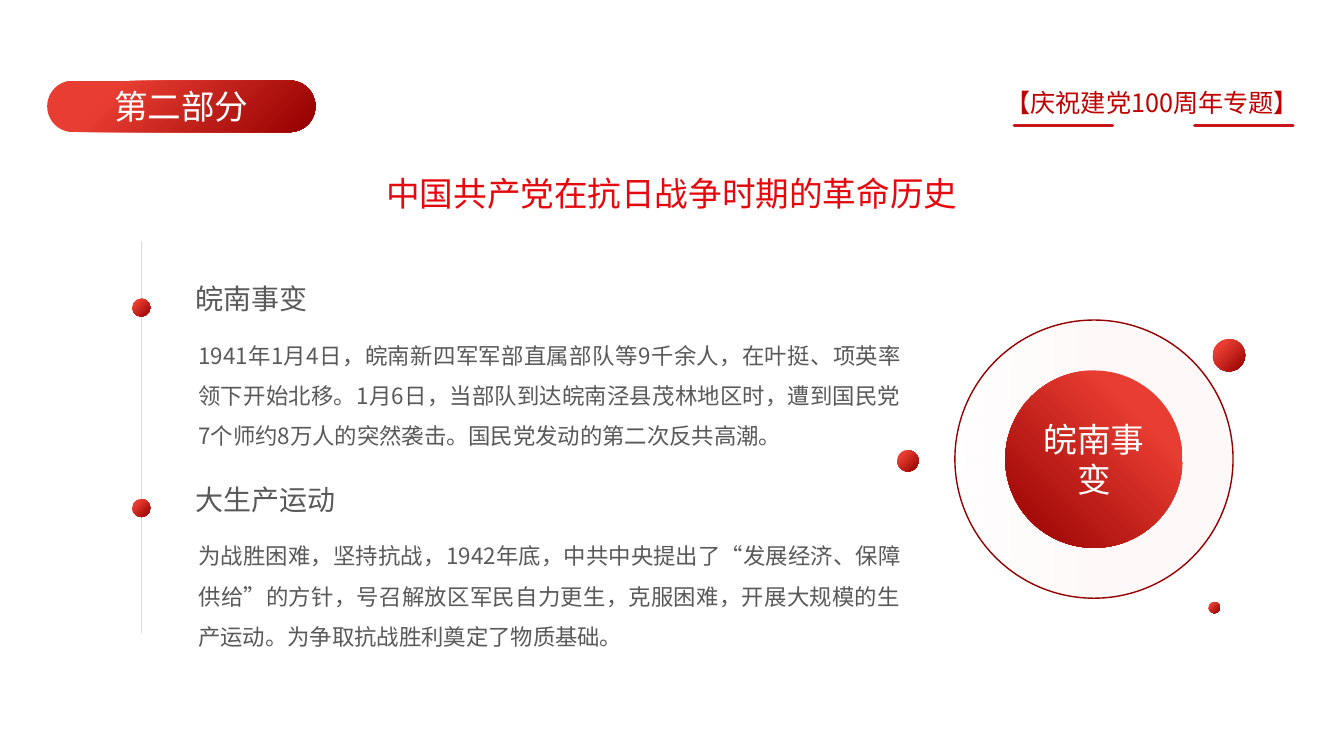
from lxml import etree
from pptx import Presentation
from pptx.dml.color import RGBColor
from pptx.enum.shapes import MSO_CONNECTOR, MSO_SHAPE
from pptx.enum.text import MSO_ANCHOR, MSO_AUTO_SIZE, PP_ALIGN
from pptx.oxml.ns import qn
from pptx.util import Cm, Pt

LEFT, CENTER, RIGHT, JUSTIFY = PP_ALIGN.LEFT, PP_ALIGN.CENTER, PP_ALIGN.RIGHT, PP_ALIGN.JUSTIFY
MIDDLE = MSO_ANCHOR.MIDDLE
GROW = MSO_AUTO_SIZE.SHAPE_TO_FIT_TEXT
STRAIGHT = MSO_CONNECTOR.STRAIGHT
OVAL, PILL = MSO_SHAPE.OVAL, MSO_SHAPE.ROUNDED_RECTANGLE

FONT = "Noto Sans CJK SC"
COLORS = {
    "bright": "E83D32", "dark": "940000", "theme": "C00000", "title": "E5090D",
    "underline": "C8161D", "text": "595959", "axis": "D9D9D9", "white": "FFFFFF",
}
EVENTS = [
    ("皖南事变",
     "1941年1月4日，皖南新四军军部直属部队等9千余人，在叶挺、项英率领下开始北移。"
     "1月6日，当部队到达皖南泾县茂林地区时，遭到国民党7个师约8万人的突然袭击。"
     "国民党发动的第二次反共高潮。"),
    ("大生产运动",
     "为战胜困难，坚持抗战，1942年底，中共中央提出了“发展经济、保障供给”的方针，"
     "号召解放区军民自力更生，克服困难，开展大规模的生产运动。为争取抗战胜利奠定了物质基础。"),
]


def rgb(name):
    return RGBColor.from_string(COLORS[name])


def write(frame, text, size, color, align, spacing=None):
    frame.word_wrap = True
    paragraph = frame.paragraphs[0]
    paragraph.alignment = align
    if spacing:
        paragraph.line_spacing = spacing
    run = paragraph.add_run()
    run.text = text
    for name, value in {"size": Pt(size), "name": FONT}.items():
        setattr(run.font, name, value)
    run.font.color.rgb = rgb(color)
    etree.SubElement(run.font._element, qn("a:ea")).set("typeface", FONT)


def add_text(slide, box, text, size, color, align, inset=(0, 0), spacing=None):
    frame = slide.shapes.add_textbox(*map(Cm, box)).text_frame
    side, end = map(Cm, inset)
    margins = {"margin_left": side, "margin_right": side, "margin_top": end, "margin_bottom": end}
    for name, value in margins.items():
        setattr(frame, name, value)
    frame.auto_size = GROW
    write(frame, text, size, color, align, spacing)


def add_line(slide, start, end, color, width, cap="flat"):
    line = slide.shapes.add_connector(STRAIGHT, *map(Cm, start + end))
    line.line.color.rgb = rgb(color)
    line.line.width = Pt(width)
    line.line._ln.set("cap", cap)
    etree.SubElement(line._element.spPr, qn("a:effectLst"))


def add_gradient_shape(slide, kind, box, angle=315,
                       stops=((0.24, "bright", 100), (1, "dark", 100))):
    """Each stop is (position, color, opacity in percent)."""
    shape = slide.shapes.add_shape(kind, *map(Cm, box))
    shape.shadow.inherit = False
    shape.line.fill.background()
    shape.fill.gradient()
    shape.fill.gradient_angle = angle
    for stop, (position, color, opacity) in zip(shape.fill.gradient_stops, stops):
        stop.position = position
        stop.color.rgb = rgb(color)
        if opacity < 100:
            tint = stop._gs.find(qn("a:srgbClr"))
            etree.SubElement(tint, qn("a:alpha")).set("val", str(opacity * 1000))
    return shape


def add_circle(slide, x, y, diameter, **gradient):
    box = (x - diameter / 2, y - diameter / 2, diameter, diameter)
    return add_gradient_shape(slide, OVAL, box, **gradient)


def label(shape, text):
    shape.text_frame.vertical_anchor = MIDDLE
    write(shape.text_frame, text, 24, "white", CENTER)


def add_header(slide, left, top, width):
    # Section pill on the left
    pill = add_gradient_shape(slide, PILL, (left, top, 6.76, 1.3))
    pill.adjustments[0] = 0.5
    label(pill, "第二部分")
    # Topic on the right, with an underline at each end
    right = left + width
    add_text(slide, (right - 12.45, top - 0.02, 12.93, 1.12), "【庆祝建党100周年专题】",
             18, "theme", RIGHT, (0.33, 0.18))
    for end in (right - 4.55, right):
        add_line(slide, (end - 2.48, top + 1.14), (end, top + 1.14), "underline", 2.25, "rnd")


def add_title(slide, box):
    add_text(slide, box, "中国共产党在抗日战争时期的革命历史", 24, "title", CENTER, (0.33, 0.18))


def add_timeline(slide, left, top, width, height):
    add_line(slide, (left, top), (left, top + height), "axis", 0.5)
    for index, (heading, story) in enumerate(EVENTS):
        y = top + 0.61 + index * 5.05
        add_circle(slide, left, y + 1.07, 0.46)
        add_text(slide, (left + 1.37, y, 8.97, 1.14), heading, 20, "text", LEFT, spacing=1.5)
        add_text(slide, (left + 1.44, y + 1.6, width - 1.44, 2.95), story,
                 16, "text", JUSTIFY, spacing=1.5)


def add_emblem(slide, x, y, diameter):
    # Faint ring around the core
    ring = add_circle(slide, x, y, diameter, angle=0,
                      stops=((0, "bright", 0), (0.61, "bright", 3)))
    ring.line.color.rgb = rgb("dark")
    ring.line.width = Pt(1)
    core = add_circle(slide, x, y, 4.47, angle=225)
    label(core, "皖南事变")
    # Satellites: offset from the centre, diameter
    for dx, dy, size in [(3.4, -2.62, 0.82), (-4.69, 0.04, 0.54), (3.03, 3.74, 0.29)]:
        add_circle(slide, x + dx, y + dy, size)


def main():
    deck = Presentation()
    deck.slide_width, deck.slide_height = Cm(33.87), Cm(19.05)
    slide = deck.slides.add_slide(deck.slide_layouts[6])
    add_header(slide, 1.19, 2.03, 31.4)
    add_title(slide, (6.25, 4.17, 21.36, 1.37))
    add_timeline(slide, 3.56, 6.07, 19.15, 9.88)
    add_emblem(slide, 27.57, 11.57, 7.01)
    deck.save("out.pptx")


if __name__ == "__main__":
    main()
